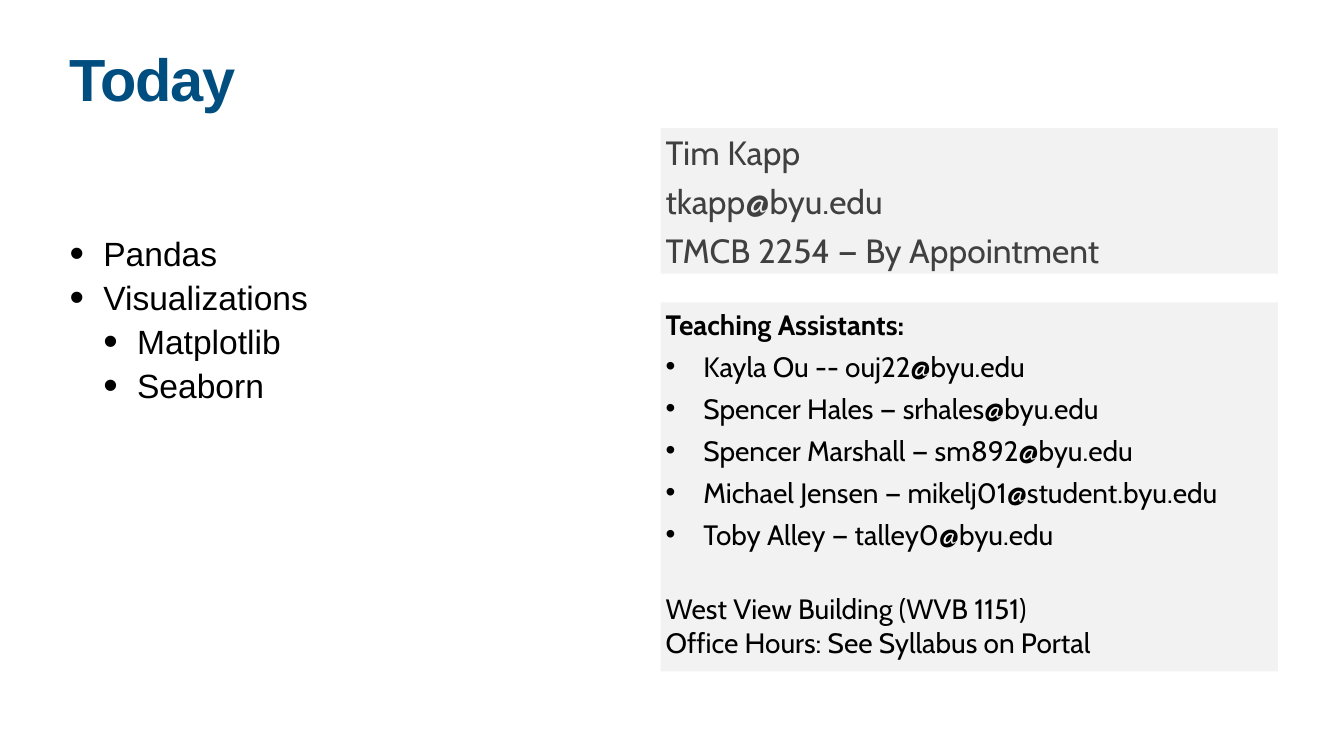
from lxml import etree
from pptx import Presentation, util as u
from pptx.dml.color import RGBColor
from pptx.enum import shapes, text
from pptx.oxml.ns import qn

W, H = 26.67, 15
LEFT, TEXT_W = 1.32, 10.69
PANEL_X, PANEL_W = 13.11, 12.25

TITLE = "Today"
TOPICS = [("Pandas", 0), ("Visualizations", 0), ("Matplotlib", 1), ("Seaborn", 1)]
INSTRUCTOR = ["Tim Kapp", "tkapp@byu.edu", "TMCB 2254 — By Appointment"]
ASSISTANTS_HEAD = "Teaching Assistants:"
ASSISTANTS = [
    "Kayla Ou -- ouj22@byu.edu",
    "Spencer Hales\u00a0—\u00a0srhales@byu.edu",
    "Spencer Marshall\u00a0—\u00a0sm892@byu.edu",
    "Michael Jensen\u00a0—\u00a0mikelj01@student.byu.edu",
    "Toby Alley\u00a0—\u00a0talley0@byu.edu",
]
OFFICE = ["West View Building (WVB 1151)", "Office Hours: See Syllabus on Portal"]

TITLE_FONT = dict(name="Arial", size=u.Pt(85), bold=True)
TOPIC_FONT = dict(name="Arial", size=u.Pt(48), bold=False)
INSTRUCTOR_FONT = dict(name="Cabin", size=u.Pt(48), bold=False)
ASSISTANT_FONT = dict(name="Cabin", size=u.Pt(40), bold=False)


def rgb(value):
    return RGBColor.from_string(value)


def place(sp, x, y, w, h):
    sp.left, sp.top, sp.width, sp.height = map(u.Inches, (x, y, w, h))


def frame(sp, inset, anchor=text.MSO_ANCHOR.TOP):
    tf = sp.text_frame
    tf.word_wrap, tf.auto_size = True, text.MSO_AUTO_SIZE.NONE
    tf.vertical_anchor = anchor
    for side in ("left", "top", "right", "bottom"):
        setattr(tf, f"margin_{side}", u.Inches(inset))
    return tf


def bullet(p, left, hang, percent=100):
    pPr = p._p.get_or_add_pPr()
    pPr.set("marL", str(u.Inches(left)))
    pPr.set("indent", str(-u.Inches(hang)))
    for tag, key, value in (("buSzPct", "val", str(percent * 1000)),
                            ("buFont", "typeface", "Arial"),
                            ("buChar", "char", "•")):
        etree.SubElement(pPr, qn(f"a:{tag}")).set(key, value)


def add_line(tf, line, font, color, before=0, spacing=None, indent=None):
    """Fill the empty first paragraph or append one; indent holds the bullet arguments."""
    first = not tf.text
    p = tf.paragraphs[0] if first else tf.add_paragraph()
    if indent:
        bullet(p, *indent)
    p.alignment = text.PP_ALIGN.LEFT
    p.space_before = u.Pt(0 if first else before)
    p.line_spacing = spacing
    r = p.add_run()
    r.text = line
    for key, value in font.items():
        setattr(r.font, key, value)
    r.font.color.rgb = rgb(color)
    return p, r


def add_panel(s, y, h, anchor):
    sp = s.shapes.add_shape(shapes.MSO_SHAPE.RECTANGLE, 0, 0, 0, 0)
    place(sp, PANEL_X, y, PANEL_W, h)
    sp.shadow.inherit = False
    sp.fill.solid()
    sp.fill.fore_color.rgb = rgb("F2F2F2")
    sp.line.fill.background()
    return frame(sp, 0.1, anchor)


def main():
    prs = Presentation()
    prs.slide_width, prs.slide_height = u.Inches(W), u.Inches(H)
    s = prs.slides.add_slide(prs.slide_layouts[1])

    title, body = s.shapes.title, s.placeholders[1]
    place(title, LEFT, 1.04, TEXT_W, 1.57)
    _, r = add_line(frame(title, 0.06), TITLE, TITLE_FONT, "004D80", spacing=0.8)
    r._r.get_or_add_rPr().set("spc", "-170")

    place(body, LEFT, 4.65, TEXT_W, 9.03)
    tf = frame(body, 0.06)
    for topic, level in TOPICS:
        p, _ = add_line(tf, topic, TOPIC_FONT, "000000", 11, 0.9,
                        (0.67 * (level + 1), 0.67, 123))
        p.level = level

    tf = add_panel(s, 2.54, 2.89, text.MSO_ANCHOR.MIDDLE)
    for line in INSTRUCTOR:
        add_line(tf, line, INSTRUCTOR_FONT, "404040", 12)

    tf = add_panel(s, 6, 7.32, text.MSO_ANCHOR.TOP)
    add_line(tf, ASSISTANTS_HEAD, {**ASSISTANT_FONT, "bold": True}, "000000")
    for line in ASSISTANTS:
        add_line(tf, line, ASSISTANT_FONT, "000000", 12, indent=(0.75, 0.75))
    for line, gap in zip(OFFICE, (58, 0)):
        add_line(tf, line, ASSISTANT_FONT, "000000", gap)

    prs.save("out.pptx")


if __name__ == "__main__":
    main()
